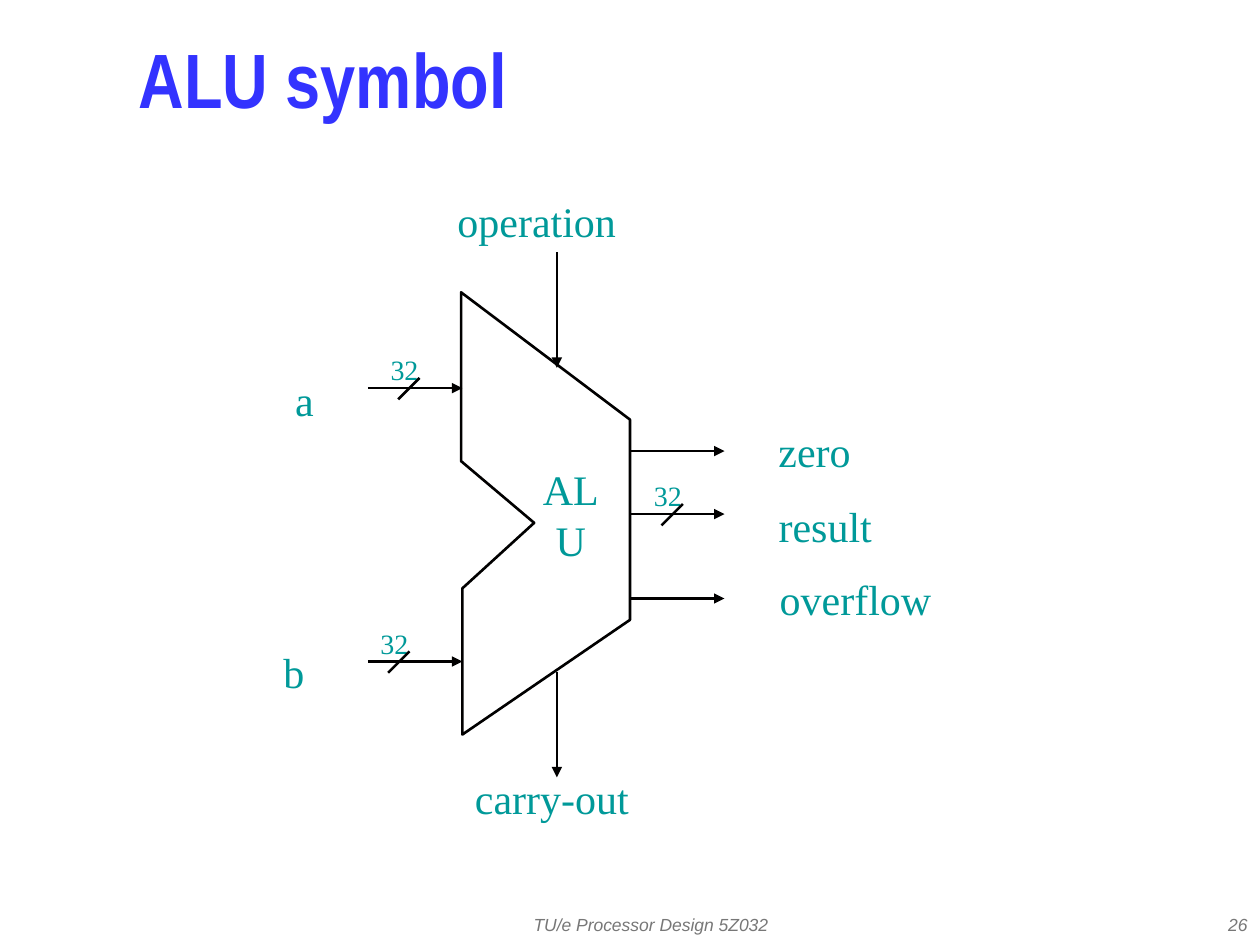
"""Build the ALU symbol slide."""
import dataclasses

import pptx
import pptx.dml.color
import pptx.enum.shapes
import pptx.enum.text
import pptx.oxml
import pptx.oxml.ns
import pptx.oxml.xmlchemy
import pptx.shapes.autoshape
import pptx.shapes.base
import pptx.slide
import pptx.text.text
import pptx.util
from pptx.util import Inches

BLUE = pptx.dml.color.RGBColor(0x33, 0x33, 0xFF)
TEAL = pptx.dml.color.RGBColor(0x00, 0x99, 0x99)
GRAY = pptx.dml.color.RGBColor(0x77, 0x77, 0x77)
BLACK = pptx.dml.color.RGBColor(0x01, 0x00, 0x00)

ALIGN = pptx.enum.text.PP_ALIGN
GROW = pptx.enum.text.MSO_AUTO_SIZE.SHAPE_TO_FIT_TEXT
FIXED = pptx.enum.text.MSO_AUTO_SIZE.NONE
MIDDLE = pptx.enum.text.MSO_ANCHOR.MIDDLE

TITLE_FONT = {"name": "Arial Narrow", "size": pptx.util.Pt(44), "bold": True}
FOOTER_FONT = {"name": "Arial", "size": pptx.util.Pt(10), "italic": True}
LABEL_FONT = {"name": "Times New Roman", "size": pptx.util.Pt(24)}
WIDTH_FONT = {"name": "Times New Roman", "size": pptx.util.Pt(16)}


@dataclasses.dataclass(frozen=True)
class Label:
    text: str
    left: float
    top: float
    width: float
    height: float = 0.5
    font: dict = dataclasses.field(default_factory=lambda: LABEL_FONT)
    color: pptx.dml.color.RGBColor = TEAL
    align: ALIGN = ALIGN.CENTER
    fit: pptx.enum.text.MSO_AUTO_SIZE = GROW


@dataclasses.dataclass(frozen=True)
class Wire:
    start: tuple[float, float]
    end: tuple[float, float]
    arrow: bool = True


def bus_width(left: float, top: float) -> Label:
    return Label("32", left, top, 0.42, 0.37, WIDTH_FONT)


def bus_slash(right: float, top: float) -> Wire:
    return Wire((right, top), (right - 0.17, top + 0.17), arrow=False)


OUTLINE = [(3.66, 2.32), (5, 3.33), (5, 4.92), (3.67, 5.83),
           (3.67, 4.67), (4.24, 4.15), (3.66, 3.66)]

LABELS = [
    Label("TU/e Processor Design 5Z032", 3.58, 7.17, 3.17, 0.33,
          FOOTER_FONT, GRAY, fit=FIXED),
    Label("26", 7.92, 7.17, 2.08, 0.33, FOOTER_FONT, GRAY, ALIGN.RIGHT, FIXED),
    Label("ALU", 4.09, 3.83, 0.88),
    Label("zero", 6.08, 3.33, 0.77),
    Label("result", 6.08, 3.92, 0.94),
    Label("overflow", 6.09, 4.5, 1.4),
    Label("operation", 3.53, 1.5, 1.46),
    Label("a", 2.24, 2.92, 0.35),
    Label("b", 2.15, 5.08, 0.36),
    Label("carry-out", 3.67, 6.08, 1.42),
    bus_width(2.92, 4.92),
    bus_width(3, 2.75),
    bus_width(5.09, 3.75),
]

WIRES = [
    *(Wire((2.92, y), (3.67, y)) for y in (5.25, 3.08)),
    *(Wire((5, y), (5.75, y)) for y in (4.08, 4.75, 3.58)),
    Wire((4.42, 2), (4.42, 2.92)),
    Wire((4.42, 5.33), (4.42, 6.17)),
    bus_slash(5.42, 4),
    bus_slash(3.33, 3),
    bus_slash(3.25, 5.17),
]


def set_values(target: object, values: dict) -> None:
    for name, value in values.items():
        setattr(target, name, value)


def write(frame: pptx.text.text.TextFrame, text: str, font: dict,
          color: pptx.dml.color.RGBColor, paragraph: dict) -> None:
    para = frame.paragraphs[0]
    set_values(para, paragraph)
    span = para.add_run()
    span.text = text
    set_values(span.font, font)
    span.font.color.rgb = color


def add_title(page: pptx.slide.Slide, text: str) -> None:
    title = page.shapes.title
    set_values(title, {"left": Inches(1), "top": Inches(0.17),
                       "width": Inches(8.58), "height": Inches(1.08)})
    set_values(title.text_frame, {"word_wrap": True, "auto_size": FIXED,
                                  "vertical_anchor": MIDDLE})
    write(title.text_frame, text, TITLE_FONT, BLUE,
          {"alignment": ALIGN.LEFT, "line_spacing": 0.7})


def add_label(page: pptx.slide.Slide, label: Label) -> None:
    box = page.shapes.add_textbox(Inches(label.left), Inches(label.top),
                                  Inches(label.width), Inches(label.height))
    set_values(box.text_frame, {"word_wrap": False, "auto_size": label.fit,
                                "vertical_anchor": MIDDLE})
    write(box.text_frame, label.text, label.font, label.color,
          {"alignment": label.align})


def add_body(page: pptx.slide.Slide) -> None:
    first, *rest = [(Inches(x), Inches(y)) for x, y in OUTLINE]
    builder = page.shapes.build_freeform(*first, scale=1.0)
    builder.add_line_segments(rest, close=True)
    body = builder.convert_to_shape()
    body.shadow.inherit = False
    body.fill.background()
    body.line.color.rgb = BLACK
    body.line.width = pptx.util.Pt(1.5)


def add_wire(page: pptx.slide.Slide, wire: Wire) -> None:
    connector = page.shapes.add_connector(
        pptx.enum.shapes.MSO_CONNECTOR.STRAIGHT,
        *(Inches(value) for value in (*wire.start, *wire.end)))
    connector.line.color.rgb = BLACK
    connector.line.width = pptx.util.Pt(1.5)
    properties = connector.element.spPr
    if wire.arrow:
        head = pptx.oxml.xmlchemy.OxmlElement("a:tailEnd")
        head.set("type", "triangle")
        properties.find(pptx.oxml.ns.qn("a:ln")).append(head)
    properties.append(pptx.oxml.xmlchemy.OxmlElement("a:effectLst"))


def main() -> None:
    deck = pptx.Presentation()
    set_values(deck, {"slide_width": Inches(10), "slide_height": Inches(7.5)})
    page = deck.slides.add_slide(deck.slide_layouts.get_by_name("Title Only"))
    add_title(page, "ALU symbol")
    add_body(page)
    for label in LABELS:
        add_label(page, label)
    for wire in WIRES:
        add_wire(page, wire)
    deck.save("out.pptx")


if __name__ == "__main__":
    main()
